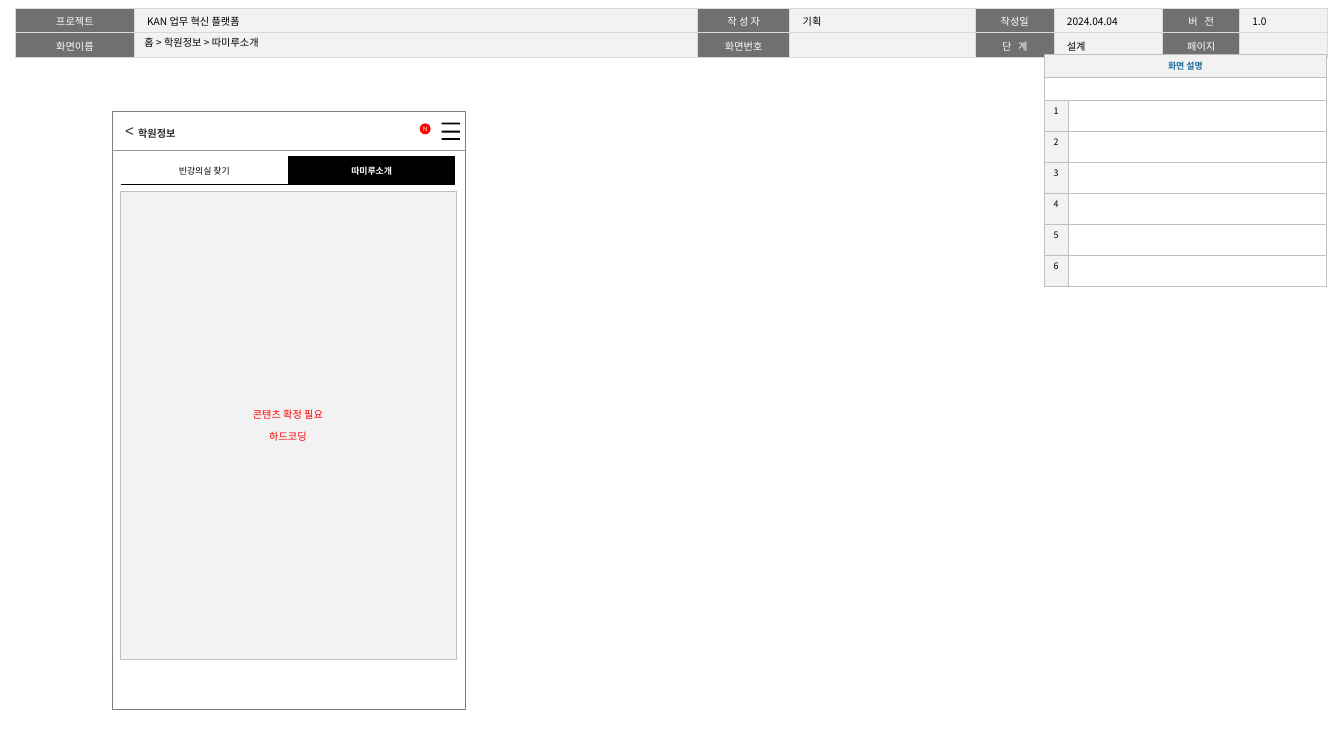
from dataclasses import dataclass
from typing import Any

import lxml.etree
import pptx
import pptx.dml.color
import pptx.enum.shapes
import pptx.enum.text
import pptx.oxml.ns
import pptx.slide
import pptx.util

Inches = pptx.util.Inches
Pt = pptx.util.Pt
qn = pptx.oxml.ns.qn
SHAPE = pptx.enum.shapes.MSO_SHAPE
LEFT = pptx.enum.text.PP_ALIGN.LEFT
CENTER = pptx.enum.text.PP_ALIGN.CENTER
TOP = pptx.enum.text.MSO_ANCHOR.TOP
MIDDLE = pptx.enum.text.MSO_ANCHOR.MIDDLE
NO_FIT = pptx.enum.text.MSO_AUTO_SIZE.NONE
FIT = pptx.enum.text.MSO_AUTO_SIZE.SHAPE_TO_FIT_TEXT


@dataclass(frozen=True)
class Theme:
    korean: str = "Noto Sans CJK KR"
    latin: str = "Arial"
    black: str = "000000"
    white: str = "FFFFFF"
    ink: str = "2E2E2E"
    red: str = "FF0000"
    blue: str = "176F9B"
    label: str = "707070"
    panel: str = "F2F2F2"
    header_line: str = "D9D9D9"
    panel_line: str = "BFBFBF"
    phone_line: str = "808080"
    divider: str = "969696"
    badge: float = 5
    small: float = 7
    body: float = 8
    icon: float = 12


T = Theme()


@dataclass(frozen=True)
class Style:
    font: str = T.korean
    size: float = T.body
    color: str = T.black
    bold: bool = False
    align: Any = LEFT
    line: float = 1.0
    gap: float = 0
    tracking: int = 0


@dataclass(frozen=True)
class Cell:
    text: str
    fill: str
    style: Style
    anchor: Any = TOP


@dataclass(frozen=True)
class Grid:
    at: tuple[float, float]
    cols: list[float]
    rows: list[float]
    cells: list[list[Cell]]
    border: tuple[str, float]
    sides: str = "LRTB"
    margin: float = 0.04


def rgb(color: str) -> pptx.dml.color.RGBColor:
    return pptx.dml.color.RGBColor.from_string(color)


def apply(obj: Any, formats: dict[str, Any]) -> None:
    for name, value in formats.items():
        setattr(obj, name, value)


def write(tf: Any, lines: list[str], style: Style) -> None:
    for i, line in enumerate(lines):
        p = tf.add_paragraph() if i else tf.paragraphs[0]
        apply(p, {"alignment": style.align, "line_spacing": style.line})
        if i and style.gap:
            p.space_before = Pt(style.gap)
        if not line:
            lxml.etree.SubElement(p._p, qn("a:endParaRPr"), sz=str(int(style.size * 100)))
            continue
        r = p.add_run()
        r.text = line
        apply(r.font, {"name": style.font, "size": Pt(style.size), "bold": style.bold})
        r.font.color.rgb = rgb(style.color)
        rPr = r.font._element
        lxml.etree.SubElement(rPr, qn("a:ea"), typeface=T.korean)
        if style.tracking:
            rPr.set("spc", str(style.tracking))


def frame(tf: Any, x: float, y: float, wrap: bool, anchor: Any, fit: Any = NO_FIT) -> None:
    apply(tf, {"margin_left": Inches(x), "margin_right": Inches(x), "margin_top": Inches(y),
               "margin_bottom": Inches(y), "word_wrap": wrap, "vertical_anchor": anchor,
               "auto_size": fit})


def set_borders(cell: Any, grid: Grid) -> None:
    color, width = grid.border
    tcPr = cell._tc.get_or_add_tcPr()
    for side in "LRTB":
        ln = lxml.etree.SubElement(tcPr, qn(f"a:ln{side}"), w=str(Pt(width)))
        if side in grid.sides:
            fill = lxml.etree.SubElement(ln, qn("a:solidFill"))
            lxml.etree.SubElement(fill, qn("a:srgbClr"), val=color)
        else:
            lxml.etree.SubElement(ln, qn("a:noFill"))


def draw_grid(s: pptx.slide.Slide, grid: Grid) -> Any:
    x, y = grid.at
    gf = s.shapes.add_table(len(grid.rows), len(grid.cols), Inches(x), Inches(y),
                            Inches(sum(grid.cols)), Inches(sum(grid.rows)))
    table = gf.table
    apply(table, {"first_row": False, "horz_banding": False})
    for column, width in zip(table.columns, grid.cols):
        column.width = Inches(width)
    for row, height in zip(table.rows, grid.rows):
        row.height = Inches(height)
    for i, items in enumerate(grid.cells):
        if len(items) < len(grid.cols):
            table.cell(i, 0).merge(table.cell(i, len(grid.cols) - 1))
        for j in range(len(grid.cols)):
            set_borders(table.cell(i, j), grid)
        for j, item in enumerate(items):
            cell = table.cell(i, j)
            cell.fill.solid()
            cell.fill.fore_color.rgb = rgb(item.fill)
            apply(cell, {"margin_left": Inches(grid.margin), "margin_right": Inches(grid.margin),
                         "margin_top": Inches(0.05), "margin_bottom": Inches(0.05),
                         "vertical_anchor": item.anchor})
            write(cell.text_frame, [item.text], item.style)
    return gf


def draw_shape(s: pptx.slide.Slide, kind: Any, at: tuple[float, float, float, float],
               fill: str = "", line: tuple[str, float] | None = None) -> Any:
    sp = s.shapes.add_shape(kind, *map(Inches, at))
    paint(sp, fill, line)
    frame(sp.text_frame, 0, 0, False, MIDDLE)
    return sp


def paint(sp: Any, fill: str, line: tuple[str, float] | None) -> None:
    sp.shadow.inherit = False
    if fill:
        sp.fill.solid()
        sp.fill.fore_color.rgb = rgb(fill)
    else:
        sp.fill.background()
    if line:
        sp.line.color.rgb = rgb(line[0])
        sp.line.width = Pt(line[1])
    else:
        sp.line.fill.background()


def draw_menu_icon(s: pptx.slide.Slide) -> None:
    left, right, thick = Inches(4.83), Inches(5.03), Inches(0.02)
    tops = [Inches(y) for y in (1.34, 1.43, 1.51)]
    fb = s.shapes.build_freeform(left, tops[0])
    for top in tops:
        if top != tops[0]:
            fb.move_to(left, top)
        fb.add_line_segments([(left, top + thick), (right, top + thick), (right, top)], close=True)
    paint(fb.convert_to_shape(), T.black, None)


def header_cells(fields: list[tuple[str, str]]) -> list[Cell]:
    cells = []
    for name, value in fields:
        tracking = 180 if name in ("버 전", "단 계") else 0
        label = Style(color=T.white, align=CENTER, line=1.05, tracking=tracking)
        cells += [Cell(name, T.label, label), Cell(value, T.panel, Style(line=1.05))]
    return cells


def main() -> None:
    prs = pptx.Presentation()
    apply(prs, {"slide_width": Inches(14.7), "slide_height": Inches(8.27)})
    s = prs.slides.add_slide(prs.slide_layouts[5])

    # Document header
    header = draw_grid(s, Grid(
        (0.17, 0.09), [1.3, 6.16, 1.01, 2.03, 0.86, 1.19, 0.84, 0.96], [0.24] * 2,
        [header_cells([("프로젝트", "KAN 업무 혁신 플랫폼"), ("작 성 자", "기획"),
                       ("작성일", "2024.04.04"), ("버 전", "1.0")]),
         header_cells([("화면이름", ""), ("화면번호", ""), ("단 계", "설계"), ("페이지", "")])],
        (T.header_line, 1), margin=0.14))

    # Screen title, in front of the header
    title = s.shapes.title
    header.element.addnext(title.element)
    apply(title, {"left": Inches(1.47), "top": Inches(0.38),
                  "width": Inches(3.85), "height": Inches(0.16)})
    frame(title.text_frame, 0.11, 0.05, True, MIDDLE)
    write(title.text_frame, ["홈 > 학원정보 > 따미루소개"], Style())

    # Phone frame and top bar
    draw_shape(s, SHAPE.RECTANGLE, (1.23, 1.22, 3.86, 6.54), line=(T.phone_line, 0.5))
    divider = s.shapes.add_connector(pptx.enum.shapes.MSO_CONNECTOR.STRAIGHT,
                                     *map(Inches, (1.22, 1.64, 5.09, 1.64)))
    divider.line.color.rgb = rgb(T.divider)
    divider.line.width = Pt(0.5)
    lxml.etree.SubElement(divider.element.spPr, qn("a:effectLst"))
    badge = draw_shape(s, SHAPE.OVAL, (4.59, 1.35, 0.12, 0.12), T.red)
    write(badge.text_frame, ["N"], Style(T.latin, T.badge, T.white, align=CENTER))
    back = s.shapes.add_textbox(*map(Inches, (1.27, 1.28, 0.32, 0.3)))
    frame(back.text_frame, 0.1, 0.05, False, TOP, FIT)
    write(back.text_frame, ["<"], Style(T.latin, T.icon, T.ink))
    draw_menu_icon(s)
    name = s.shapes.add_textbox(*map(Inches, (1.51, 1.28, 1.98, 0.28)))
    frame(name.text_frame, 0, 0.05, True, TOP, FIT)
    write(name.text_frame, ["학원정보"], Style(T.latin, T.body, T.ink, True, line=1.5))

    # Screen description
    number = Style(size=T.small, align=CENTER)
    blank = Style(size=T.small)
    heading = Style(size=T.small, color=T.blue, bold=True, align=CENTER)
    draw_grid(s, Grid(
        (11.42, 0.59), [0.26, 2.83], [0.25] * 2 + [0.34] * 6,
        [[Cell("화면 설명", T.panel, heading, MIDDLE)], [Cell("", T.white, blank)]]
        + [[Cell(str(n), T.panel, number), Cell("", T.white, blank)] for n in range(1, 7)],
        (T.panel_line, 0.25)))

    # Tabs
    tab = Style(T.latin, T.small, align=CENTER)
    active = Style(T.latin, T.small, T.white, True, CENTER)
    draw_grid(s, Grid((1.32, 1.71), [1.83] * 2, [0.31],
                      [[Cell("빈강의실 찾기", T.white, tab, MIDDLE),
                        Cell("따미루소개", T.black, active, MIDDLE)]],
                      (T.black, 1), sides="B"))

    # Content area
    content = draw_shape(s, SHAPE.RECTANGLE, (1.31, 2.09, 3.68, 5.12), T.panel,
                         (T.panel_line, 0.25))
    write(content.text_frame, ["콘텐츠 확정 필요", "하드코딩"],
          Style(T.latin, T.body, T.red, align=CENTER, gap=8))

    prs.save("out.pptx")


if __name__ == "__main__":
    main()
